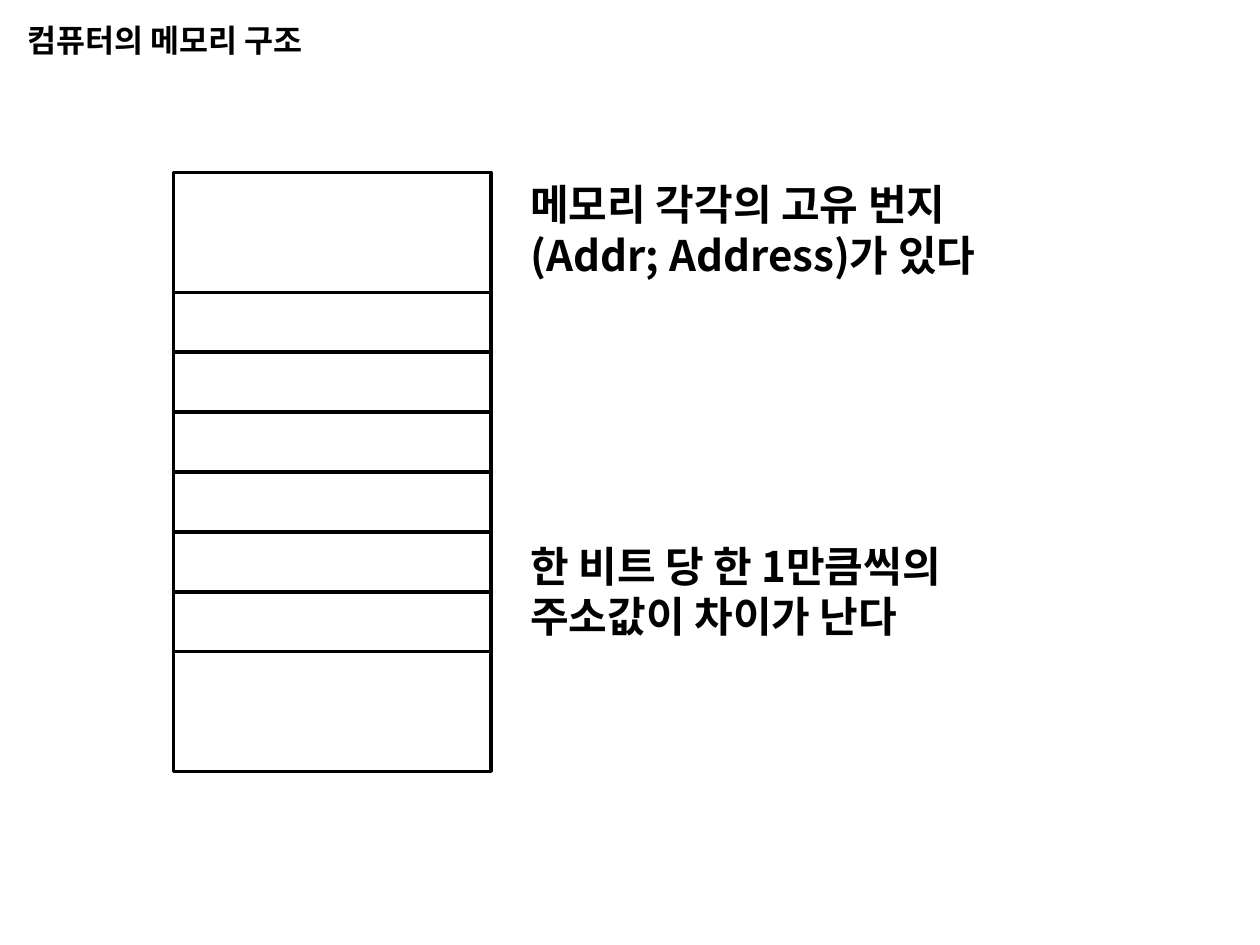
from dataclasses import dataclass
from itertools import accumulate

from lxml import etree
from pptx import Presentation
from pptx.dml.color import RGBColor
from pptx.enum.shapes import MSO_SHAPE
from pptx.enum.text import MSO_ANCHOR, MSO_AUTO_SIZE, PP_ALIGN
from pptx.oxml.ns import qn
from pptx.util import Cm, Pt

RECTANGLE = MSO_SHAPE.RECTANGLE
TOP, LEFT, NO_FIT = MSO_ANCHOR.TOP, PP_ALIGN.LEFT, MSO_AUTO_SIZE.NONE


@dataclass(frozen=True)
class Theme:
    font: str = "Noto Sans CJK KR"
    ink: RGBColor = RGBColor(0, 0, 0)
    paper: RGBColor = RGBColor(255, 255, 255)
    title_size: int = 18
    note_size: int = 24
    line_factor: float = 1.2
    border: float = 2


@dataclass(frozen=True)
class Box:
    left: float
    top: float
    width: float
    height: float


@dataclass(frozen=True)
class Note:
    text: str
    box: Box


THEME = Theme()

# Lengths in centimetres
MEMORY = Box(3.5, 3.48, 6.4, 12.07)
CELL_UNITS = [2, 1, 1, 1, 1, 1, 1, 2]
TITLE_BOX = Box(0.3, 0.3, 6.8, 1.02)
NOTES = [
    Note("메모리 각각의 고유 번지(Addr; Address)가 있다", Box(10.44, 3.48, 10.4, 3.33)),
    Note("한 비트 당 한 1만큼씩의 주소값이 차이가 난다", Box(10.44, 10.77, 10.4, 2.31)),
]


def place(shape, box: Box) -> None:
    shape.left, shape.top = Cm(box.left), Cm(box.top)
    shape.width, shape.height = Cm(box.width), Cm(box.height)


def write(shape, text: str, size: int) -> None:
    frame = shape.text_frame
    frame.text = text
    frame.word_wrap = True
    frame.auto_size = NO_FIT
    frame.vertical_anchor = TOP
    paragraph = frame.paragraphs[0]
    paragraph.alignment = LEFT
    paragraph.line_spacing = Pt(size * THEME.line_factor)
    font = paragraph.font
    font.name, font.size, font.bold = THEME.font, Pt(size), True
    font.color.rgb = THEME.ink
    # Hangul takes its typeface from the East Asian slot
    properties = paragraph.runs[0].font._element
    etree.SubElement(properties, qn("a:ea"), typeface=THEME.font)


def draw_memory(shapes, area: Box, units: list[int]) -> None:
    unit_height = area.height / sum(units)
    for start, span in zip(accumulate(units, initial=0), units):
        cell = shapes.add_shape(RECTANGLE, 0, 0, 0, 0)
        place(cell, Box(area.left, area.top + start * unit_height,
                        area.width, span * unit_height))
        cell.shadow.inherit = False
        cell.fill.solid()
        cell.fill.fore_color.rgb = THEME.paper
        cell.line.color.rgb = THEME.ink
        cell.line.width = Pt(THEME.border)


def draw_note(shapes, note: Note) -> None:
    caption = shapes.add_textbox(0, 0, 0, 0)
    place(caption, note.box)
    write(caption, note.text, THEME.note_size)


def main() -> None:
    deck = Presentation()
    deck.slide_width, deck.slide_height = Cm(25.4), Cm(19.05)
    title_only = deck.slide_layouts[5]
    slide = deck.slides.add_slide(title_only)

    # Heading
    heading = slide.shapes.title
    place(heading, TITLE_BOX)
    write(heading, "컴퓨터의 메모리 구조", THEME.title_size)

    # Memory column and its explanations
    draw_memory(slide.shapes, MEMORY, CELL_UNITS)
    for note in NOTES:
        draw_note(slide.shapes, note)

    deck.save("out.pptx")


if __name__ == "__main__":
    main()
